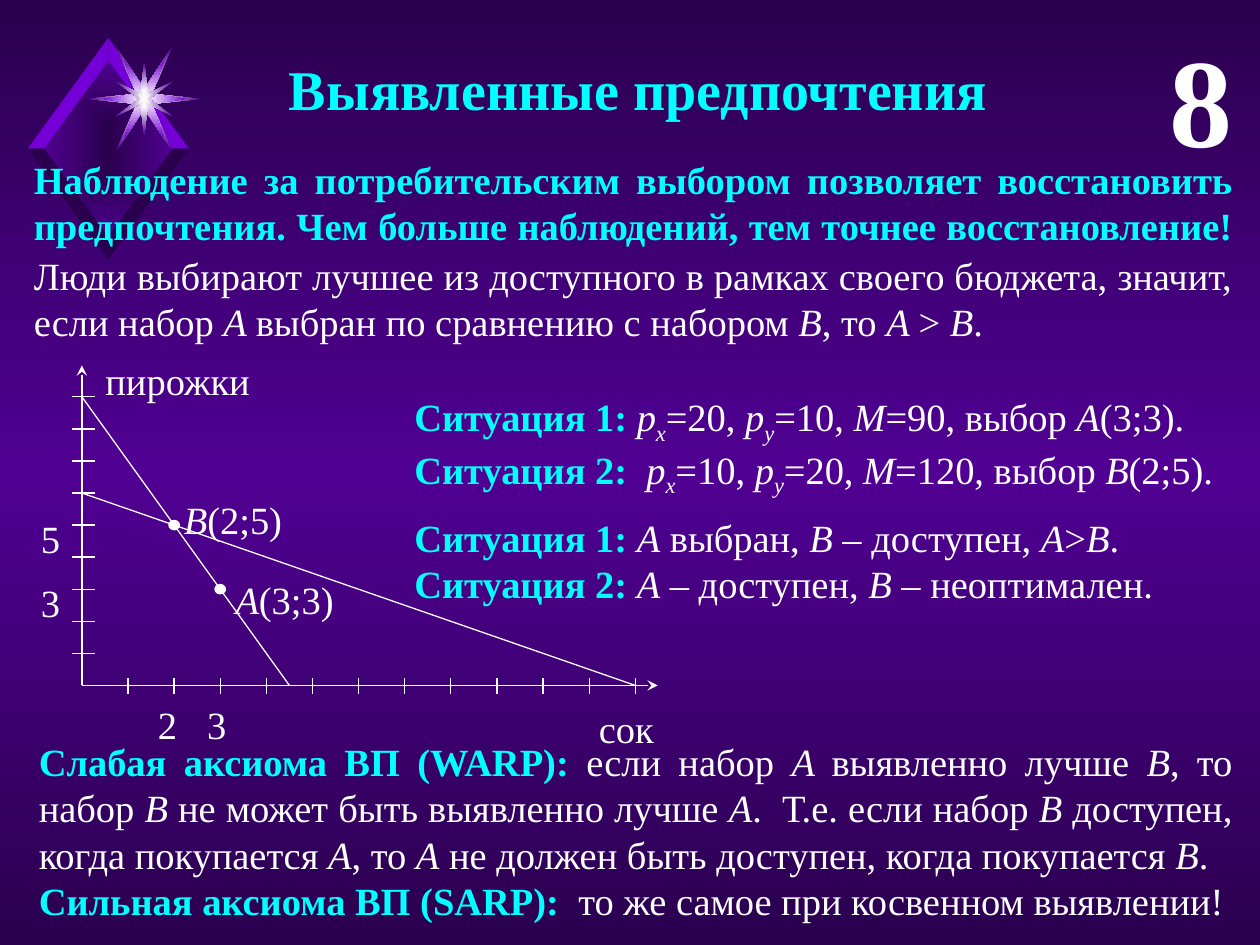
from lxml.etree import SubElement
from pptx import Presentation
from pptx.dml.color import RGBColor
from pptx.enum.shapes import MSO_CONNECTOR, MSO_SHAPE
from pptx.enum.text import MSO_AUTO_SIZE, PP_ALIGN
from pptx.oxml.ns import qn
from pptx.util import Inches, Pt

NIGHT = RGBColor(0x2A, 0x00, 0x4E)
PURPLE = RGBColor(0x50, 0x00, 0x93)
VIOLET = RGBColor(0x75, 0x00, 0xD7)
PALE = RGBColor(0xF9, 0xF9, 0xF9)
WHITE = RGBColor(0xFF, 0xFF, 0xFF)
CYAN = RGBColor(0x00, 0xFF, 0xFF)
FONT = "Times New Roman"
BODY_SIZE = 22


def set_gradient(fill, parent, colors, radial=False):
    """Spread the colours evenly, downwards or from the centre outwards."""
    fill.solid()
    solid = parent.find(qn("a:solidFill"))
    gradient = parent.makeelement(qn("a:gradFill"), {"rotWithShape": "1"})
    parent.replace(solid, gradient)
    stops = SubElement(gradient, qn("a:gsLst"))
    for index, color in enumerate(colors):
        position = 100000 * index // (len(colors) - 1)
        stop = SubElement(stops, qn("a:gs"), pos=str(position))
        SubElement(stop, qn("a:srgbClr"), val=str(color))
    if radial:
        path = SubElement(gradient, qn("a:path"), {"path": "rect"})
        SubElement(path, qn("a:fillToRect"), dict.fromkeys("ltrb", "50000"))
    else:
        SubElement(gradient, qn("a:lin"), ang="5400000", scaled="0")


# Text: "|" switches italics on and off, "_" starts a subscript in italics
def add_run(paragraph, text, italic=False, **formats):
    run = paragraph.add_run()
    run.text = text
    style = {"name": FONT, "size": Pt(BODY_SIZE), "bold": False, "italic": italic}
    color = formats.pop("color", WHITE)
    for name, value in {**style, **formats}.items():
        setattr(run.font, name, value)
    run.font.color.rgb = color
    return run


def add_marked_text(paragraph, text):
    for index, part in enumerate(text.split("|")):
        italic = index % 2 == 1
        base, _, subscript = part.partition("_") if italic else (part, "", "")
        if base:
            add_run(paragraph, base, italic)
        if subscript:
            run = add_run(paragraph, subscript, italic)
            run.font._element.set("baseline", "-25000")


def add_text_box(slide, box, align, margin=None):
    frame = slide.shapes.add_textbox(*map(Inches, box)).text_frame
    frame.word_wrap = True
    frame.auto_size = MSO_AUTO_SIZE.NONE
    if margin is not None:
        for side in ("left", "top", "right", "bottom"):
            setattr(frame, f"margin_{side}", Inches(margin))
    frame.paragraphs[0].alignment = align
    return frame


def add_heading(slide, box, text, size, align):
    frame = add_text_box(slide, box, align)
    add_run(frame.paragraphs[0], text, size=Pt(size), bold=True,
            color=WHITE if text.isdigit() else CYAN)


def add_statements(slide, box, statements):
    """Each statement is a bold lead, marked text and the space before it."""
    frame = add_text_box(slide, box, PP_ALIGN.JUSTIFY)
    for index, (lead, text, space) in enumerate(statements):
        paragraph = frame.add_paragraph() if index else frame.paragraphs[0]
        paragraph.alignment = PP_ALIGN.JUSTIFY
        paragraph.space_before = Pt(space)
        if lead:
            add_run(paragraph, lead, bold=True, color=CYAN)
        add_marked_text(paragraph, text)


# Emblem: points are hundredths of an inch from the middle
def mirror_quadrant(points):
    right_bottom = points
    left_bottom = [(-x, y) for x, y in reversed(points[:-1])]
    left_top = [(-x, -y) for x, y in points[1:]]
    right_top = [(x, -y) for x, y in reversed(points[1:-1])]
    return right_bottom + left_bottom + left_top + right_top


def add_outline(slide, center, points, colors):
    builder = slide.shapes.build_freeform(*points[0], scale=Inches(0.01))
    builder.add_line_segments(points[1:], close=True)
    shape = builder.convert_to_shape(*map(Inches, center))
    shape.shadow.inherit = False
    shape.line.fill.background()
    if len(colors) > 1:
        set_gradient(shape.fill, shape._element.spPr, colors, radial=True)
    else:
        shape.fill.solid()
        shape.fill.fore_color.rgb = colors[0]


def add_emblem(slide, box):
    left, top, width, height = box
    center = (left + width / 2, top + height / 2)
    add_outline(slide, center, mirror_quadrant([(52, 0), (0, 71)]), [NIGHT, PURPLE])
    # Bevelled edges, light above and dark below
    edge = [(0, 70), (0, 88), (64, 0), (51, 0)]
    for vertical, color in ((-1, VIOLET), (1, NIGHT)):
        for side in (1, -1):
            points = [(side * x, vertical * y) for x, y in edge]
            add_outline(slide, center, points, [color])
    # Layers of the star
    star_center = (center[0] + 0.285, center[1] - 0.395)
    layers = [
        ([(45, 0), (6, 4), (22, 41), (0, 8)], [WHITE, PURPLE]),
        ([(33, 0), (6, 4), (16, 31), (0, 8)], [WHITE, VIOLET]),
        ([(4, 0), (23, 14), (3, 4), (0, 29)], [WHITE, PURPLE]),
        ([(2, 0), (5, 4), (1, 2), (0, 7)], [PALE]),
    ]
    for quadrant, colors in layers:
        add_outline(slide, star_center, mirror_quadrant(quadrant), colors)


# Budget chart
def add_line(slide, start, end, arrow=False):
    line = slide.shapes.add_connector(
        MSO_CONNECTOR.STRAIGHT, *map(Inches, (*start, *end)))
    line.line.color.rgb = WHITE
    line.line.width = Pt(0.75)
    properties = line._element.spPr
    if arrow:
        SubElement(properties.find(qn("a:ln")), qn("a:tailEnd"), type="stealth")
    SubElement(properties, qn("a:effectLst"))


def add_label(slide, box, text, align):
    paragraph = add_text_box(slide, box, align, margin=0.01).paragraphs[0]
    paragraph.line_spacing = 1.15
    paragraph.space_after = Pt(10)
    add_marked_text(paragraph, text)


def add_budget_chart(slide, box):
    left, top, width, height = box
    bottom = top + height
    unit_x, unit_y = 0.366, 0.2545

    def place(x, y):
        return left + x * unit_x, bottom - y * unit_y

    # Axes and ticks
    add_line(slide, (left, bottom), (left, top), arrow=True)
    add_line(slide, (left, bottom), (left + width, bottom), arrow=True)
    for count in range(1, 10):
        y = place(0, count)[1]
        add_line(slide, (left - 0.08, y), (left + 0.1, y))
    for count in range(1, 13):
        x = place(count, 0)[0]
        add_line(slide, (x, bottom - 0.06), (x, bottom + 0.07))
    # Budget lines
    for limit_x, limit_y in ((4.5, 9), (12, 6)):
        add_line(slide, place(0, limit_y), place(limit_x, 0))
    # Axis names and labels
    labels = [
        (2.79, 2.63, 1.76, 0.38, "сок", PP_ALIGN.RIGHT),
        (0.12, -0.13, 1.28, 0.3, "пирожки", PP_ALIGN.CENTER),
        (1.21, 1.61, 0.93, 0.38, "|А|(3;3)", PP_ALIGN.LEFT),
        (0.8, 0.97, 1.04, 0.41, "|B|(2;5)", PP_ALIGN.LEFT),
        (-0.39, 1.63, 0.28, 0.25, "3", PP_ALIGN.CENTER),
        (-0.39, 1.12, 0.28, 0.25, "5", PP_ALIGN.CENTER),
        (0.93, 2.6, 0.28, 0.25, "3", PP_ALIGN.CENTER),
        (0.54, 2.6, 0.28, 0.25, "2", PP_ALIGN.CENTER),
    ]
    for x, y, label_width, label_height, text, align in labels:
        add_label(slide, (left + x, top + y, label_width, label_height), text, align)
    # Chosen bundles
    for bundle in ((3, 3), (2, 5)):
        x, y = place(*bundle)
        dot = slide.shapes.add_shape(
            MSO_SHAPE.OVAL, *map(Inches, (x - 0.04, y - 0.035, 0.08, 0.07)))
        dot.shadow.inherit = False
        dot.fill.solid()
        dot.fill.fore_color.rgb = WHITE
        dot.line.color.rgb = WHITE
        dot.line.width = Pt(1)


def main():
    presentation = Presentation()
    presentation.slide_width, presentation.slide_height = Inches(10), Inches(7.5)
    slide = presentation.slides.add_slide(presentation.slide_layouts[6])
    background = slide.background.fill
    background.solid()
    set_gradient(background, slide._element.find(".//" + qn("p:bgPr")),
                 [NIGHT, PURPLE, NIGHT])
    add_emblem(slide, (0.22, 0.3, 1.28, 1.76))
    add_heading(slide, (0.2, 0.38, 9.62, 0.64), " Выявленные предпочтения", 32, PP_ALIGN.CENTER)
    add_heading(slide, (8.63, 0.12, 1.25, 1.31), "8", 72, PP_ALIGN.RIGHT)
    add_statements(slide, (0.17, 1.95, 9.71, 0.84), [
        ("", "Люди выбирают лучшее из доступного в рамках своего бюджета, значит, "
         "если набор |A |выбран по сравнению с набором |B|, то |A |> |B|.", 0)])
    add_budget_chart(slide, (0.65, 2.9, 4.57, 2.54))
    add_statements(slide, (3.19, 3.07, 6.73, 1.72), [
        ("Ситуация 1: ", "|p_x|=20, |p_y|=10, |M|=90, выбор |А|(3;3).", 0),
        ("Ситуация 2:  ", "|p_x|=10, |p_y|=20, |M|=120, выбор |B|(2;5).", 0),
        ("Ситуация 1: ", "|А| выбран, |B| – доступен, |A|>|B|.", 9),
        ("Ситуация 2: ", "|А |– доступен, |B| – неоптимален.", 0)])
    add_statements(slide, (0.17, 1.19, 9.71, 0.84), [
        ("Наблюдение за потребительским выбором позволяет восстановить "
         "предпочтения. Чем больше наблюдений, тем точнее восстановление! ", "", 0)])
    add_statements(slide, (0.21, 5.81, 9.67, 1.58), [
        ("Слабая аксиома ВП (WARP): ",
         "если набор |A |выявленно лучше |B|, то набор |B |не может быть выявленно "
         "лучше |А|.  Т.е. если набор |B |доступен, когда покупается |A|, то |А| "
         "не должен быть доступен, когда покупается |B|.", 0),
        ("Сильная аксиома ВП (SARP):  ", "то же самое при косвенном выявлении!", 0)])
    presentation.save("out.pptx")


if __name__ == "__main__":
    main()
